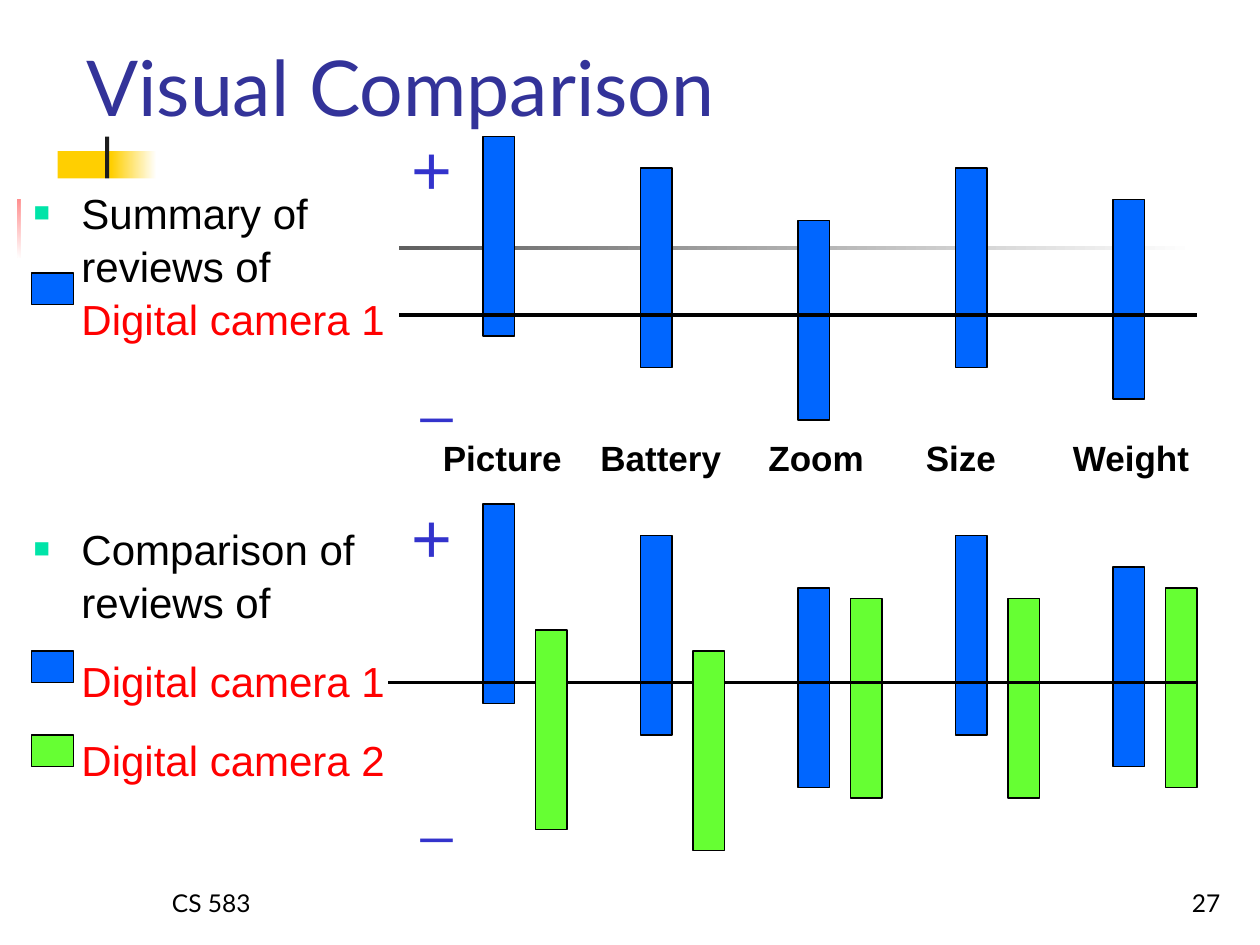
from lxml import etree
from pptx import Presentation
from pptx.dml.color import RGBColor
from pptx.enum.shapes import MSO_CONNECTOR, MSO_SHAPE
from pptx.enum.text import MSO_ANCHOR, MSO_AUTO_SIZE, PP_ALIGN
from pptx.oxml.ns import qn
from pptx.util import Inches, Pt

RECT = MSO_SHAPE.RECTANGLE
STRAIGHT = MSO_CONNECTOR.STRAIGHT
TOP, BOTTOM = MSO_ANCHOR.TOP, MSO_ANCHOR.BOTTOM
LEFT, RIGHT = PP_ALIGN.LEFT, PP_ALIGN.RIGHT
NO_FIT = MSO_AUTO_SIZE.NONE

BLUE, GREEN, BLACK, RED = "0066FF", "66FF33", "000000", "FF0000"
WHITE, YELLOW, DARK, SIGN, MINT = "FFFFFF", "FFCF01", "1C1C1C", "3333CC", "00E4A8"

COLUMNS, ROWS = 120, 90
BAR_WIDTH, BAR_LENGTH = 3, 19
FIRST_BAR, BAR_PITCH, CAMERA_GAP = 46, 15, 5
AXIS_START, AXIS_END = 37, 114
UPPER_AXIS, LOWER_AXIS = 30, 65

CAMERA_1_RISES = [17, 14, 9, 14, 11]
CAMERA_2_RISES = [5, 3, 8, 8, 9]
FEATURES = [("Picture", 41, 22), ("Battery", 56, 22), ("Zoom", 72, 22),
            ("Size", 87, 11), ("Weight", 101, 14)]
SIGNS = [("+", 38, 11, 40), ("_", 39, 33, 32), ("+", 38, 46, 40), ("_", 39, 73, 32)]
SWATCHES = [(26, BLUE), (62, BLUE), (70, GREEN)]
SUMMARY = [(True, [("Summary of reviews of ", BLACK), ("Digital camera 1", RED)])]
COMPARISON = [(True, [("Comparison of reviews of", BLACK)]),
              (False, [("Digital camera 1", RED)]),
              (False, [("Digital camera 2", RED)])]
DECOR = [((5.5, 14.4, 5.8, 6.2), [YELLOW], 0),
         ((10.6, 14.4, 4.3, 6.2), [WHITE, YELLOW], 180),
         ((1.65, 19, 7.3, 5.5), [RED, WHITE], 225),
         ((10, 13, 0.4, 13.8), [DARK], 0),
         ((5.8, 23.4, 108, 0.4), [WHITE, DARK], 180)]
FOOTERS = [("CS 583", 15.2, LEFT), ("27", 92.4, RIGHT)]

prs = Presentation()
prs.slide_width, prs.slide_height = Inches(10), Inches(7.5)
slide = prs.slides.add_slide(prs.slide_layouts[3])
shapes = slide.shapes


def rgb(color):
    return RGBColor.from_string(color)


def across(columns):
    return int(prs.slide_width * columns / COLUMNS)


def down(rows):
    return int(prs.slide_height * rows / ROWS)


def area(left, top, width, height):
    return across(left), down(top), across(width), down(height)


def style(font, size, color, name="Arial", bold=False):
    font.size, font.name, font.bold = Pt(size), name, bold
    font.color.rgb = rgb(color)


def rectangle(box, colors, angle=0, outlined=True):
    rect = shapes.add_shape(RECT, *area(*box))
    rect.shadow.inherit = False
    if len(colors) == 1:
        rect.fill.solid()
        rect.fill.fore_color.rgb = rgb(colors[0])
    else:
        rect.fill.gradient()
        rect.fill.gradient_angle = angle
        for stop, color in zip(rect.fill.gradient_stops, colors):
            stop.color.rgb = rgb(color)
    if outlined:
        rect.line.color.rgb = rgb(BLACK)
        rect.line.width = Pt(0.75)
    else:
        rect.line.fill.background()


def bars(rises, axis, color, offset=0, first=0):
    for i, rise in enumerate(rises, first):
        left = FIRST_BAR + i * BAR_PITCH + offset
        rectangle((left, axis - rise, BAR_WIDTH, BAR_LENGTH), [color])


def axis_line(row):
    axis = shapes.add_connector(STRAIGHT, across(AXIS_START), down(row),
                                across(AXIS_END), down(row))
    axis.line.color.rgb = rgb(BLACK)
    axis.line.width = Pt(2.25)
    etree.SubElement(axis._element.spPr, qn("a:effectLst"))


def label(text, box, size, color, name="Arial", bold=False,
          align=LEFT, anchor=TOP, spacing=1.0):
    frame = shapes.add_textbox(*area(*box)).text_frame
    frame.word_wrap, frame.vertical_anchor = True, anchor
    line = frame.paragraphs[0]
    line.text, line.alignment, line.line_spacing = text, align, spacing
    style(line.font, size, color, name, bold)


def place(holder, box, anchor):
    holder.left, holder.top, holder.width, holder.height = area(*box)
    frame = holder.text_frame
    frame.word_wrap, frame.auto_size, frame.vertical_anchor = True, NO_FIT, anchor
    shapes._spTree.append(holder._element)
    return frame


def set_bullet(paragraph, bulleted):
    props = paragraph._p.get_or_add_pPr()
    props.set("marL", str(Inches(0.38)))
    props.set("indent", str(-Inches(0.38) if bulleted else 0))
    if not bulleted:
        etree.SubElement(props, qn("a:buNone"))
        return
    color = etree.SubElement(props, qn("a:buClr"))
    etree.SubElement(color, qn("a:srgbClr"), val=MINT)
    etree.SubElement(props, qn("a:buSzPct"), val="65000")
    etree.SubElement(props, qn("a:buChar"), char="■")


def fill_body(holder, box, entries):
    frame = place(holder, box, TOP)
    for i, (bulleted, parts) in enumerate(entries):
        paragraph = frame.add_paragraph() if i else frame.paragraphs[0]
        set_bullet(paragraph, bulleted)
        paragraph.space_before = Pt(15 if i else 0)
        paragraph.line_spacing = 1.05
        paragraph.font.size, paragraph.font.name = Pt(24), "Arial"
        for text, color in parts:
            run = paragraph.add_run()
            run.text = text
            run.font.color.rgb = rgb(color)


title, summary, comparison = list(slide.placeholders)[:3]

for box, colors, angle in DECOR:
    rectangle(box, colors, angle, outlined=False)

bars(CAMERA_2_RISES[2:], LOWER_AXIS, GREEN, CAMERA_GAP, first=2)
bars(CAMERA_1_RISES, UPPER_AXIS, BLUE)
axis_line(UPPER_AXIS)

heading = place(title, (7, 0, 102.2, 13.2), BOTTOM).paragraphs[0]
heading.text, heading.alignment = "Visual Comparison", LEFT
style(heading.font, 44, "333399", "Lato")

summary.fill.solid()
summary.fill.fore_color.rgb = rgb(WHITE)
fill_body(summary, (2, 17, 36, 15.6), SUMMARY)
fill_body(comparison, (2, 49, 38, 25.4), COMPARISON)

for feature, left, width in FEATURES:
    label(feature, (left, 41, width, 6), 20, BLACK, bold=True)

bars(CAMERA_1_RISES, LOWER_AXIS, BLUE)
axis_line(LOWER_AXIS)
bars(CAMERA_2_RISES[:2], LOWER_AXIS, GREEN, CAMERA_GAP)

for sign, left, top, size in SIGNS:
    label(sign, (left, top, 9, size * 0.23), size, SIGN, spacing=1.05)
for top, color in SWATCHES:
    rectangle((3, top, 4, 3), [color])
for text, left, align in FOOTERS:
    label(text, (left, 82, 25, 6), 14, BLACK, "Lato", align=align, anchor=BOTTOM)

prs.save("out.pptx")
